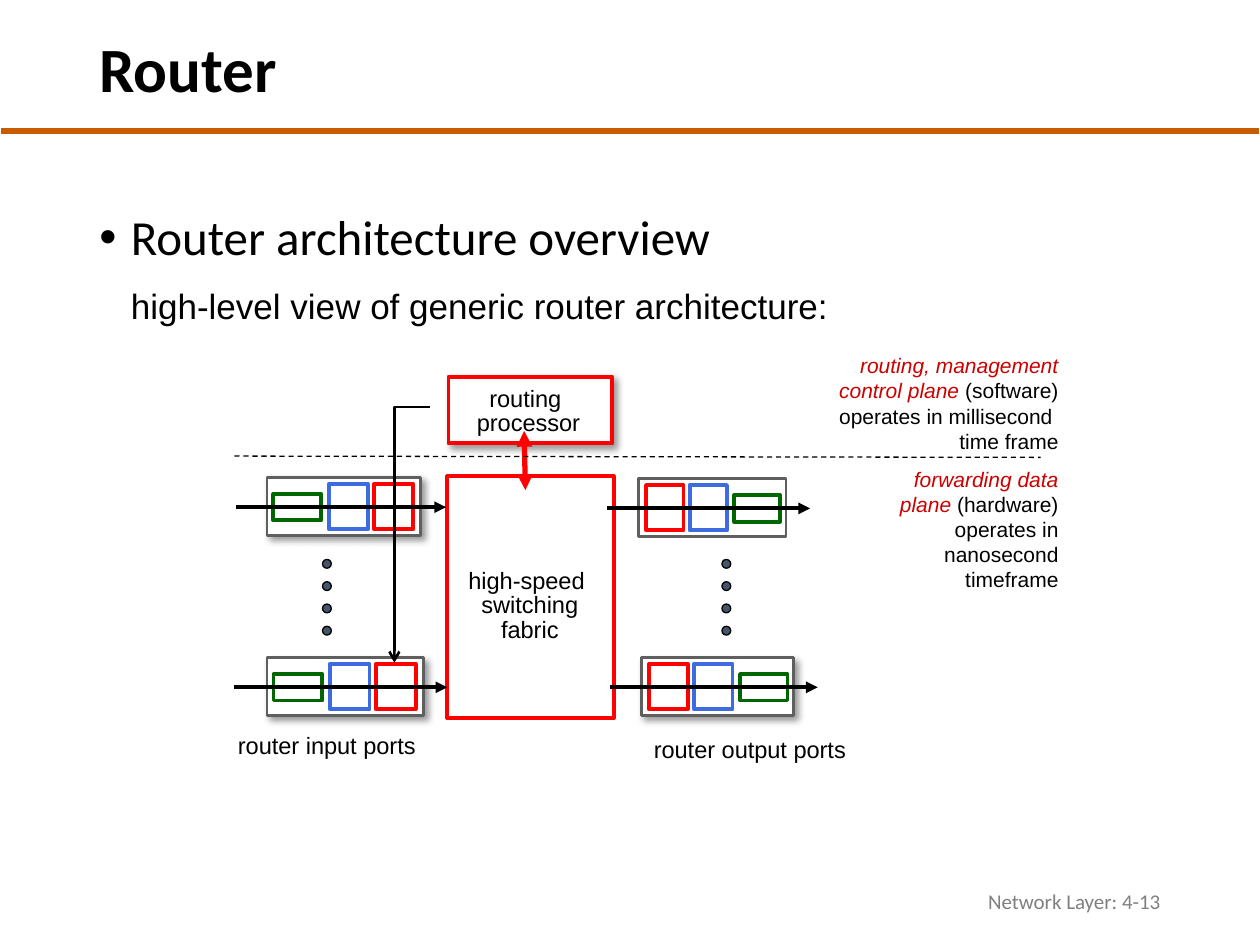
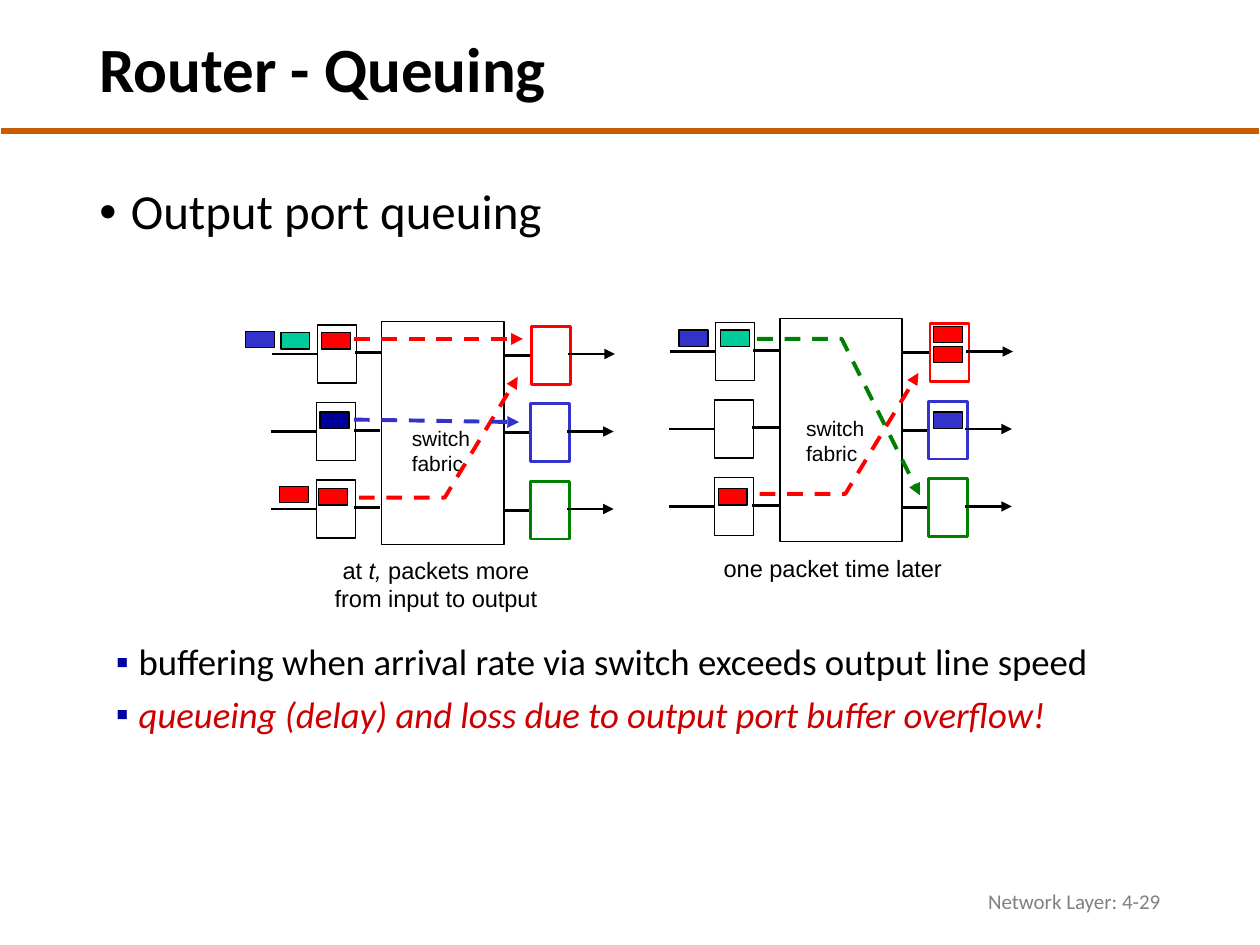
"""Build two slides on router architecture and output port queuing."""
from dataclasses import dataclass

import pptx
import pptx.dml.color
import pptx.enum.dml
import pptx.enum.shapes
import pptx.enum.text
import pptx.oxml
import pptx.oxml.ns
import pptx.util
from pptx.util import Inches

COLORS = {
    "white": "FFFFFF", "black": "000000", "orange": "C95B00", "footer": "808080",
    "red": "FF0000", "emphasis": "CC0000", "port": "5F5F5F", "dark_green": "006600",
    "light_blue": "3C6CDF", "dot": "44546A", "blue": "3333CC", "navy": "000099",
    "green": "008000", "teal": "00CC99", "bullet": "0000A3",
}
ALIGN = pptx.enum.text.PP_ALIGN
SHAPE = pptx.enum.shapes.MSO_SHAPE
STRAIGHT = pptx.enum.shapes.MSO_CONNECTOR.STRAIGHT


@dataclass
class Run:
    text: str
    color: str = "black"
    italic: bool = False


@dataclass
class TextStyle:
    size: float
    font: str = "Arial"
    bold: bool = False
    align: ALIGN = ALIGN.LEFT
    spacing: float = 1.0
    before: float = 0
    bullet: str = ""
    bullet_color: str = "black"
    margin: float = 0
    indent: float = 0
    wrap: bool = True
    middle: bool = False
    inset: tuple[float, float] = (0.1, 0.05)


@dataclass
class Stroke:
    color: str = "black"
    width: float = 1.5
    dashed: bool = False
    head: str = ""
    tail: str = ""


@dataclass
class Port:
    left: float
    top: float
    width: float
    arrow: tuple[float, float]
    output: bool = False
    shadow: bool = True


@dataclass
class Flow:
    color: str
    points: list[tuple[float, float]]


@dataclass
class Stage:
    left: float
    top: float
    label: tuple[float, float]
    caption: tuple[float, float, float, float]
    caption_lines: list[list[Run]]
    packets: list[tuple[float, float, str]]
    flows: list[Flow]


TITLE = TextStyle(36, "Calibri", bold=True, spacing=0.9, middle=True)
FOOTER = TextStyle(12, "Calibri", align=ALIGN.RIGHT, middle=True)
TOPIC = TextStyle(28, "Calibri", spacing=0.9, bullet="•", margin=0.25, indent=-0.25)
POINTS = TextStyle(21, "Calibri", spacing=0.9, before=7.5, bullet="▪", bullet_color="bullet",
                   margin=0.29, indent=-0.18, inset=(0.07, 0.04))
LEAD = TextStyle(20)
BLOCK = TextStyle(13.5, align=ALIGN.CENTER, spacing=0.85, wrap=False)
PORT_LABEL = TextStyle(13.5, wrap=False)
FABRIC_LABEL = TextStyle(12, wrap=False)
CAPTION = TextStyle(13.5, align=ALIGN.CENTER)
PLANE = TextStyle(12, align=ALIGN.RIGHT)

PORTS = [
    Port(2.12, 3.79, 1.22, (1.87, 3.54)),
    Port(2.12, 5.22, 1.24, (1.86, 3.55)),
    Port(5.07, 3.8, 1.17, (4.82, 6.43), output=True, shadow=False),
    Port(5.09, 5.22, 1.21, (4.84, 6.49), output=True),
]
PORT_CELLS = [(0.05, 0.13, 0.38, 0.21, "dark_green"), (0.49, 0.05, 0.31, 0.36, "light_blue"),
              (0.85, 0.05, 0.31, 0.36, "red")]

STAGES = [
    Stage(3.03, 2.55, (3.17, 3.33), (2.45, 4.36, 2.02, 0.56),
          [[Run("at "), Run("t,", italic=True), Run(" packets more")],
           [Run("from input to output")]],
          [(2.55, 2.64, "red"), (2.54, 3.27, "navy"), (2.53, 3.88, "red"),
           (2.23, 2.64, "teal"), (2.22, 3.86, "red"), (1.95, 2.63, "blue")],
          [Flow("red", [(2.81, 2.69), (4.15, 2.69)]),
           Flow("red", [(2.85, 3.95), (3.53, 3.95), (4.11, 2.99)]),
           Flow("blue", [(2.81, 3.33), (4.12, 3.35)])]),
    Stage(6.19, 2.53, (6.3, 3.25), (5.6, 4.35, 2.02, 0.33),
          [[Run("one packet time later")]],
          [(7.41, 2.59, "red"), (7.41, 3.27, "blue"), (7.41, 2.75, "red"),
           (5.72, 2.62, "teal"), (5.7, 3.88, "red"), (5.39, 2.62, "blue")],
          [Flow("red", [(6.03, 3.92), (6.71, 3.92), (7.29, 2.96)]),
           Flow("green", [(6.01, 2.69), (6.68, 2.69), (7.3, 3.93)])]),
]


def rgb(name: str) -> pptx.dml.color.RGBColor:
    return pptx.dml.color.RGBColor.from_string(COLORS[name])


def element(tag: str, parent, **attrs: str):
    el = pptx.oxml.parse_xml(f"<a:{tag} {pptx.oxml.ns.nsdecls('a')}/>")
    for key, value in attrs.items():
        el.set(key, value)
    parent.append(el)
    return el


def add_text(s, left: float, top: float, width: float, height: float,
             lines: list[list[Run]], style: TextStyle) -> None:
    sp = s.shapes.add_textbox(Inches(left), Inches(top), Inches(width), Inches(height))
    tf = sp.text_frame
    tf.word_wrap = style.wrap
    tf.margin_left = tf.margin_right = Inches(style.inset[0])
    tf.margin_top = tf.margin_bottom = Inches(style.inset[1])
    anchor = pptx.enum.text.MSO_ANCHOR
    tf.vertical_anchor = anchor.MIDDLE if style.middle else anchor.TOP
    for i, line in enumerate(lines):
        p = tf.add_paragraph() if i else tf.paragraphs[0]
        if style.bullet:
            ppr = p._p.get_or_add_pPr()
            ppr.set("marL", str(Inches(style.margin)))
            ppr.set("indent", str(Inches(style.indent)))
            element("srgbClr", element("buClr", ppr), val=COLORS[style.bullet_color])
            element("buFont", ppr, typeface="Arial")
            element("buChar", ppr, char=style.bullet)
        p.alignment = style.align
        p.line_spacing = style.spacing
        if i and style.before:
            p.space_before = pptx.util.Pt(style.before)
        for run in line:
            r = p.add_run()
            r.text = run.text
            r.font.name = style.font
            r.font.size = pptx.util.Pt(style.size)
            r.font.bold = style.bold
            r.font.italic = run.italic
            r.font.color.rgb = rgb(run.color)


def add_box(s, left: float, top: float, width: float, height: float, line: str,
            weight: float = 0.75, fill: str = "white", kind: SHAPE = SHAPE.RECTANGLE,
            shadow: bool = False) -> None:
    sp = s.shapes.add_shape(kind, Inches(left), Inches(top), Inches(width), Inches(height))
    sp.shadow.inherit = False
    sp.fill.solid()
    sp.fill.fore_color.rgb = rgb(fill)
    sp.line.color.rgb = rgb(line)
    sp.line.width = pptx.util.Pt(weight)
    if shadow:
        effects = sp._element.spPr.find(pptx.oxml.ns.qn("a:effectLst"))
        outer = element("outerShdw", effects, blurRad=str(pptx.util.Pt(4)),
                        dist=str(pptx.util.Pt(3)), dir="2700000", algn="tl", rotWithShape="0")
        element("alpha", element("srgbClr", outer, val=COLORS["black"]), val="40000")


def add_path(s, points: list[tuple[float, float]], stroke: Stroke) -> None:
    pts = [(Inches(x), Inches(y)) for x, y in points]
    if len(pts) == 2:
        sp = s.shapes.add_connector(STRAIGHT, *pts[0], *pts[1])
    else:
        builder = s.shapes.build_freeform(*pts[0])
        builder.add_line_segments(pts[1:], close=False)
        sp = builder.convert_to_shape()
        sp.fill.background()
    sp.line.color.rgb = rgb(stroke.color)
    sp.line.width = pptx.util.Pt(stroke.width)
    if stroke.dashed:
        sp.line.dash_style = pptx.enum.dml.MSO_LINE.DASH
    ln = sp.line._get_or_add_ln()
    for tag, end in (("headEnd", stroke.head), ("tailEnd", stroke.tail)):
        if end:
            element(tag, ln, type=end)
    element("effectLst", sp._element.spPr)


def add_base(prs, title: str, page: str, topic: str, topic_top: float):
    s = prs.slides.add_slide(prs.slide_layouts[6])
    add_path(s, [(0.01, 1.04), (9.99, 1.04)], Stroke("orange", 3))
    add_text(s, 0.69, 0.15, 7.93, 0.85, [[Run(title)]], TITLE)
    add_text(s, 0.69, topic_top, 8.62, 0.63, [[Run(topic)]], TOPIC)
    add_text(s, 7.06, 6.95, 2.25, 0.4, [[Run(f"Network Layer: {page}", "footer")]], FOOTER)
    return s


def add_port(s, port: Port) -> None:
    add_box(s, port.left, port.top, port.width, 0.46, "port", 1.5, shadow=port.shadow)
    scale = port.width / 1.22
    for dx, dy, width, height, color in PORT_CELLS:
        offset, cell = dx * scale, width * scale
        if port.output:
            offset = port.width - offset - cell
        add_box(s, port.left + offset, port.top + dy, cell, height, color, 2.25)
    y = port.top + 0.235
    add_path(s, [(port.arrow[0], y), (port.arrow[1], y)], Stroke(width=2.25, tail="triangle"))


def add_stage(s, stage: Stage) -> None:
    add_box(s, stage.left, stage.top, 0.97, 1.77, "black")
    for row, color in enumerate(("red", "blue", "green")):
        x = stage.left - (0.01 if row else 0)
        y = stage.top + 0.615 * row
        add_box(s, x - 0.51, y + 0.03, 0.31, 0.46, "black")
        add_box(s, x + 1.19, y + 0.04, 0.31, 0.46, color, 1.5)
        for start, end, dy, tail in ((0.97, 1.18, 0.27, ""), (-0.21, 0, 0.25, ""),
                                     (-0.87, -0.51, 0.26, ""), (1.48, 1.85, 0.26, "triangle")):
            add_path(s, [(x + start, y + dy), (x + end, y + dy)], Stroke(tail=tail))
    for left, top, color in stage.packets:
        add_box(s, left, top, 0.23, 0.13, "black", fill=color)
    add_text(s, *stage.label, 0.67, 0.51, [[Run("switch")], [Run("fabric")]], FABRIC_LABEL)
    add_text(s, *stage.caption, stage.caption_lines, CAPTION)
    for flow in stage.flows:
        add_path(s, flow.points, Stroke(flow.color, 2.25, dashed=True, tail="triangle"))


def build_architecture(prs) -> None:
    s = add_base(prs, "Router", "4-13", "Router architecture overview", 1.64)
    add_text(s, 0.94, 2.21, 8.62, 0.44,
             [[Run("high-level view of generic router architecture:")]], LEAD)
    add_box(s, 3.55, 3.78, 1.32, 1.92, "red", 2.25)
    add_text(s, 3.61, 4.48, 1.19, 0.68,
             [[Run("high-speed ")], [Run("switching")], [Run("fabric")]], BLOCK)
    add_box(s, 3.56, 2.99, 1.3, 0.53, "red", 2.25, shadow=True)
    add_text(s, 3.68, 3.03, 1.03, 0.49, [[Run("routing ")], [Run("processor")]], BLOCK)
    add_path(s, [(4.16, 3.42), (4.17, 3.89)], Stroke("red", 3, head="triangle", tail="triangle"))
    for port in PORTS:
        add_port(s, port)
    for left in (2.56, 5.73):
        for i in range(4):
            add_box(s, left, 4.44 + 0.177 * i, 0.07, 0.07, "black", fill="dot", kind=SHAPE.OVAL)
    add_text(s, 1.79, 5.75, 1.63, 0.33, [[Run("router input ports")]], PORT_LABEL)
    add_text(s, 5.09, 5.78, 1.75, 0.33, [[Run("router output ports")]], PORT_LABEL)
    add_path(s, [(1.86, 3.62), (8.26, 3.63)], Stroke(width=0.75, dashed=True))
    add_text(s, 6.76, 3.65, 1.74, 1.11,
             [[Run("forwarding data plane ", "emphasis", True),
               Run("(hardware) operates in nanosecond timeframe")]], PLANE)
    add_text(s, 6.14, 2.75, 2.36, 0.91,
             [[Run("routing, management", "emphasis", True)],
              [Run("control plane ", "emphasis", True), Run("(software)")],
              [Run("operates in millisecond ")], [Run("time frame")]], PLANE)
    add_path(s, [(3.41, 3.23), (3.13, 3.23), (3.13, 5.26)], Stroke(tail="arrow"))


def build_queuing(prs) -> None:
    s = add_base(prs, "Router - Queuing", "4-29", "Output port queuing", 1.44)
    for stage in STAGES:
        add_stage(s, stage)
    add_text(s, 0.74, 5.07, 8.25, 1.44,
             [[Run("buffering when arrival rate via switch exceeds output line speed")],
              [Run("queueing (delay) and loss due to output port buffer overflow!",
                   "emphasis", True)]], POINTS)


def main() -> None:
    prs = pptx.Presentation()
    prs.slide_width = Inches(10)
    prs.slide_height = Inches(7.5)
    build_architecture(prs)
    build_queuing(prs)
    prs.save("out.pptx")


if __name__ == "__main__":
    main()
